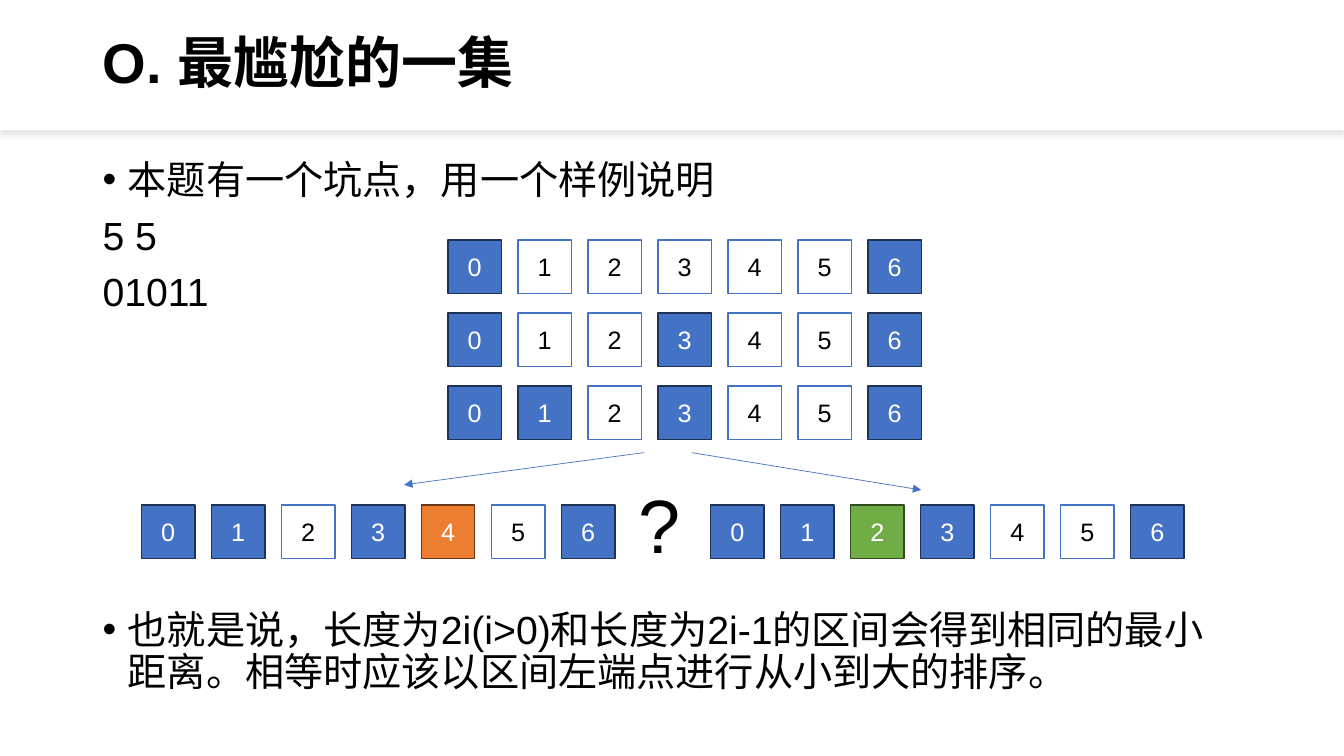
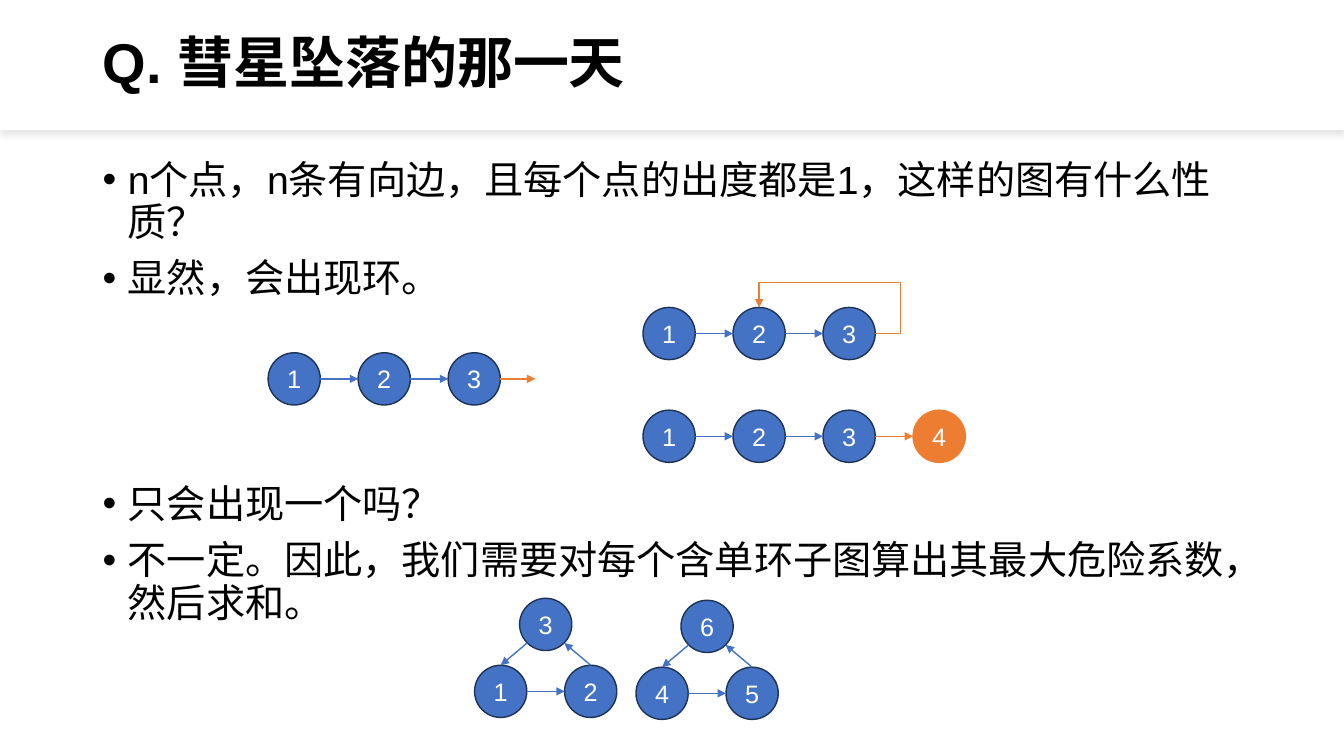
"""Build two slides on interval splitting and cycles in directed graphs."""
import dataclasses
import typing

import pptx
import pptx.dml.color
import pptx.enum.shapes
import pptx.enum.text
import pptx.oxml
import pptx.oxml.ns
import pptx.slide
import pptx.util
from lxml import etree

WIDE, HIGH = pptx.util.Inches(13.333), pptx.util.Inches(7.5)
COLS = 96
UNIT = WIDE / COLS
FONT = "Arial"
INK = {
    "white": "FFFFFF", "black": "000000", "blue": "4472C4", "navy": "1E3256",
    "orange": "ED7D31", "brown": "683715", "green": "70AD47", "moss": "314C1F",
}
BOX, STEP = 3.82, 5
BALL, GAP = 3.73, 6.43
SLANT = 0.71
LEFT, RIGHT, TOP = (-1, 0), (1, 0), (0, -1)
LOW_LEFT, LOW_RIGHT = (-SLANT, SLANT), (SLANT, SLANT)
SHAPE = pptx.enum.shapes.MSO_SHAPE
ALIGN = pptx.enum.text.PP_ALIGN
Point = tuple[float, float]


class Look(typing.NamedTuple):
    fill: str
    edge: str
    text: str = "white"


LOOKS = {
    "B": Look("blue", "navy"),
    "W": Look("white", "blue", "black"),
    "O": Look("orange", "brown"),
    "G": Look("green", "moss"),
    "N": Look("orange", "orange"),
}


@dataclasses.dataclass
class Row:
    col: float
    row: float
    kinds: str


@dataclasses.dataclass
class Line:
    text: str
    bullet: bool = True
    before: float = 10


@dataclasses.dataclass
class Ring:
    col: float
    row: float
    first: int


@dataclasses.dataclass
class Node:
    col: float
    row: float

    def site(self, side: Point) -> Point:
        half = BALL / 2
        return self.col + half * (1 + side[0]), self.row + half * (1 + side[1])


ROWS = [Row(32, 17.14 + 5.22 * i, kinds)
        for i, kinds in enumerate(("BWWWWWB", "BWWBWWB", "BBWBWWB"))]
ROWS += [Row(10.1, 36.07, "BBWBOWB"), Row(50.76, 36.07, "BBGBWWB")]
SPLITS = [((46, 32.33), (28.87, 34.63)), ((49.4, 32.33), (65.8, 35))]
CHAINS = [Row(19.15, 25.2, "BBB"), Row(45.93, 21.96, "BBB"), Row(45.93, 29.3, "BBBN")]
RINGS = [Ring(33.9, 47.52, 1), Ring(45.43, 47.66, 4)]
TRAPS = [
    Line("本题有一个坑点，用一个样例说明"),
    Line("5 5", False),
    Line("01011", False),
    Line("也就是说，长度为2i(i>0)和长度为2i-1的区间会得到相同的最小距离。"
         "相等时应该以区间左端点进行从小到大的排序。", before=211),
]
FACTS = [
    Line("n个点，n条有向边，且每个点的出度都是1，这样的图有什么性质？"),
    Line("显然，会出现环。"),
    Line("只会出现一个吗？", before=131),
    Line("不一定。因此，我们需要对每个含单环子图算出其最大危险系数，然后求和。"),
]


def grid(*cells: float) -> list[int]:
    return [round(cell * UNIT) for cell in cells]


def tint(name: str) -> pptx.dml.color.RGBColor:
    return pptx.dml.color.RGBColor.from_string(INK[name])


def add_tag(parent: etree._Element, tag: str, **attrs: str) -> etree._Element:
    node = etree.SubElement(parent, pptx.oxml.ns.qn(tag))
    for key, val in attrs.items():
        node.set(key, val)
    return node


def style(para, size: float, ink: str = "black", bold: bool = False) -> None:
    for run in para.runs:
        run.font.name = FONT
        run.font.size = pptx.util.Pt(size)
        run.font.bold = bold
        run.font.color.rgb = tint(ink)


def draw_form(slide: pptx.slide.Slide, form, look: Look, text: str,
              col: float, row: float, size: float) -> None:
    item = slide.shapes.add_shape(form, *grid(col, row, size, size))
    item.shadow.inherit = False
    item.fill.solid()
    item.fill.fore_color.rgb = tint(look.fill)
    item.line.color.rgb = tint(look.edge)
    item.line.width = pptx.util.Pt(1)
    item.text_frame.text = text
    para = item.text_frame.paragraphs[0]
    para.alignment = ALIGN.CENTER
    style(para, 18, look.text)


def draw_arrow(slide: pptx.slide.Slide, start: Point, end: Point,
               ink: str = "blue", width: float = 1, bent: bool = False):
    kinds = pptx.enum.shapes.MSO_CONNECTOR
    kind = kinds.ELBOW if bent else kinds.STRAIGHT
    arrow = slide.shapes.add_connector(kind, *grid(*start, *end))
    arrow.line.color.rgb = tint(ink)
    arrow.line.width = pptx.util.Pt(width)
    props = arrow.element.spPr
    add_tag(props.find(pptx.oxml.ns.qn("a:ln")), "a:tailEnd", type="triangle")
    add_tag(props, "a:effectLst")
    return arrow


def draw_loop(slide: pptx.slide.Slide, start: Point, end: Point) -> None:
    arrow = draw_arrow(slide, start, end, "orange", bent=True)
    form = arrow.element.spPr.find(pptx.oxml.ns.qn("a:prstGeom"))
    form.set("prst", "bentConnector4")
    for child in list(form):
        form.remove(child)
    guides = add_tag(form, "a:avLst")
    for name, share in (("adj1", -21700), ("adj2", 196400)):
        add_tag(guides, "a:gd", name=name, fmla=f"val {share}")


def draw_band(slide: pptx.slide.Slide) -> None:
    band = slide.shapes.add_shape(SHAPE.RECTANGLE, *grid(0, 0.07, COLS, 9.22))
    band.fill.solid()
    band.fill.fore_color.rgb = tint("white")
    band.line.fill.background()
    band.shadow.inherit = False
    glow = band.element.spPr.find(pptx.oxml.ns.qn("a:effectLst"))
    shade = add_tag(glow, "a:outerShdw", blurRad="50800", dist="38100",
                    dir="5400000", algn="t", rotWithShape="0")
    add_tag(add_tag(shade, "a:srgbClr", val=INK["black"]), "a:alpha", val="10000")
    slide.shapes.title.element.addprevious(band.element)


def draw_text(slide: pptx.slide.Slide, lines: list[Line], rows: float) -> None:
    frame = slide.shapes.add_textbox(*grid(6.62, 11.09, 82.8, rows)).text_frame
    frame.word_wrap = True
    for i, line in enumerate(lines):
        para = frame.add_paragraph() if i else frame.paragraphs[0]
        para.text = line.text
        para.line_spacing = 0.9
        para.space_before = pptx.util.Pt(line.before)
        style(para, 28)
        if line.bullet:
            props = para._p.get_or_add_pPr()
            inset = pptx.util.Inches(0.25)
            props.set("marL", str(inset))
            props.set("indent", str(-inset))
            add_tag(props, "a:buFont", typeface=FONT)
            add_tag(props, "a:buChar", char="•")


def start_slide(deck, title: str, lines: list[Line], rows: float) -> pptx.slide.Slide:
    slide = deck.slides.add_slide(deck.slide_layouts.get_by_name("Title Only"))
    head = slide.shapes.title
    head.left, head.top, head.width, head.height = grid(6.62, 1.87, 82.8, 5.62)
    frame = head.text_frame
    frame.text = title
    frame.auto_size = pptx.enum.text.MSO_AUTO_SIZE.NONE
    frame.vertical_anchor = pptx.enum.text.MSO_ANCHOR.MIDDLE
    para = frame.paragraphs[0]
    para.alignment = ALIGN.LEFT
    para.line_spacing = 0.9
    style(para, 40, bold=True)
    draw_band(slide)
    draw_text(slide, lines, rows)
    return slide


def draw_row(slide: pptx.slide.Slide, row: Row) -> None:
    for i, kind in enumerate(row.kinds):
        draw_form(slide, SHAPE.RECTANGLE, LOOKS[kind], str(i),
                  row.col + i * STEP, row.row, BOX)


def draw_node(slide: pptx.slide.Slide, node: Node, num: int, kind: str = "B") -> None:
    draw_form(slide, SHAPE.OVAL, LOOKS[kind], str(num), node.col, node.row, BALL)


def draw_chain(slide: pptx.slide.Slide, chain: Row) -> list[Node]:
    nodes = [Node(chain.col + i * GAP, chain.row) for i in range(len(chain.kinds))]
    for i, (node, kind) in enumerate(zip(nodes, chain.kinds)):
        draw_node(slide, node, i + 1, kind)
        if i:
            draw_arrow(slide, nodes[i - 1].site(RIGHT), node.site(LEFT),
                       LOOKS[kind].fill)
    return nodes


def draw_ring(slide: pptx.slide.Slide, ring: Ring) -> None:
    base = Node(ring.col, ring.row)
    side = Node(ring.col + GAP, ring.row)
    peak = Node(ring.col + GAP / 2, ring.row - 4.78)
    for i, node in enumerate((base, side, peak)):
        draw_node(slide, node, ring.first + i)
    draw_arrow(slide, base.site(RIGHT), side.site(LEFT))
    draw_arrow(slide, side.site(TOP), peak.site(LOW_RIGHT))
    draw_arrow(slide, peak.site(LOW_LEFT), base.site(TOP))


def build_split(deck) -> None:
    slide = start_slide(deck, "O. 最尴尬的一集", TRAPS, 41.04)
    for row in ROWS:
        draw_row(slide, row)
    frame = slide.shapes.add_textbox(*grid(44.93, 33.77, 4.46, 7.27)).text_frame
    frame.word_wrap = False
    frame.text = "?"
    style(frame.paragraphs[0], 54)
    for start, end in SPLITS:
        draw_arrow(slide, start, end, width=0.5)


def build_graph(deck) -> None:
    slide = start_slide(deck, "Q. 彗星坠落的那一天", FACTS, 37.58)
    open_end, closed, _ = [draw_chain(slide, chain) for chain in CHAINS]
    col, row = open_end[-1].site(RIGHT)
    draw_arrow(slide, (col, row), (col + 2.5, row), "orange")
    draw_loop(slide, closed[2].site(RIGHT), closed[1].site(TOP))
    for ring in RINGS:
        draw_ring(slide, ring)


def main() -> None:
    deck = pptx.Presentation()
    deck.slide_width, deck.slide_height = WIDE, HIGH
    build_split(deck)
    build_graph(deck)
    deck.save("out.pptx")


if __name__ == "__main__":
    main()
